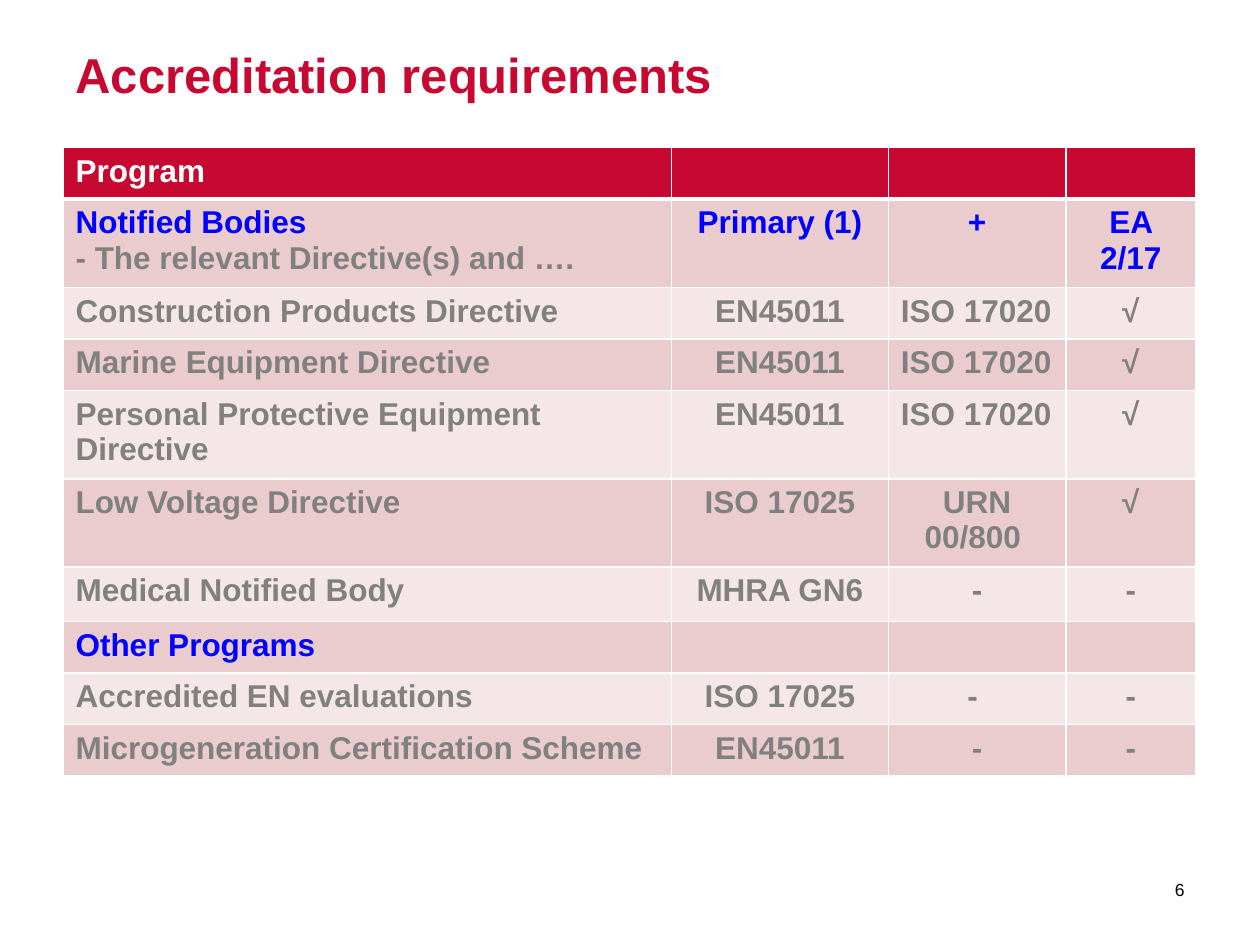
"""Build the accreditation requirements slide."""
from dataclasses import dataclass

from lxml import etree
from pptx import Presentation
from pptx import util as u
from pptx.dml.color import RGBColor
from pptx.enum import text
from pptx.oxml.ns import qn


@dataclass(frozen=True)
class Theme:
    """Colours and type sizes of the slide."""
    font: str = "Arial"
    red: str = "C70932"
    blue: str = "0000FF"
    grey: str = "808080"
    white: str = "FFFFFF"
    black: str = "000000"
    bands: tuple = ("F5E7E8", "EBCCCE")
    title_size: int = 28
    table_size: int = 18
    number_size: int = 10
    thin_line: int = 1
    header_line: int = 3


THEME = Theme()
COLUMN_WIDTHS = (4.83, 1.72, 1.41, 1.03)
ROW_HEIGHT = 0.41
MEDICAL_HEIGHT = 0.43
INSPECTION = "ISO 17020"
ROWS = (
    ("Program", "", "", ""),
    ("Notified Bodies\n- The relevant Directive(s) and ….", "Primary (1)", "+", "EA 2/17"),
    ("Construction Products Directive", "EN45011", INSPECTION, "√"),
    ("Marine Equipment Directive", "EN45011", INSPECTION, "√"),
    ("Personal Protective Equipment Directive", "EN45011", INSPECTION, "√"),
    ("Low Voltage Directive", "ISO 17025", "URN 00/800 ", "√"),
    ("Medical Notified Body", "MHRA GN6", "-", "-"),
    ("Other Programs", "", "", ""),
    ("Accredited EN evaluations", "ISO 17025", "- ", "-"),
    ("Microgeneration Certification Scheme", "EN45011", "-", "-"),
)
SECTION_ROWS = (1, 7)


def add_run(paragraph, words, size, color, bold=True):
    """Add one formatted run to a paragraph."""
    run = paragraph.add_run()
    run.text = words
    run.font.name = THEME.font
    run.font.size = u.Pt(size)
    run.font.bold = bold
    run.font.color.rgb = RGBColor.from_string(color)


def set_borders(cell, row_index):
    """Draw white cell borders, heavier under the header row."""
    properties = cell._tc.get_or_add_tcPr()
    heavy_sides = {0: "B", 1: "T"}
    for side in "LRTB":
        heavy = heavy_sides.get(row_index) == side
        width = THEME.header_line if heavy else THEME.thin_line
        line = etree.SubElement(properties, qn(f"a:ln{side}"), w=str(u.Pt(width)))
        fill = etree.SubElement(line, qn("a:solidFill"))
        etree.SubElement(fill, qn("a:srgbClr"), val=THEME.white)


def text_color(row_index, line_index):
    """Choose the text colour for a line in a table row."""
    if row_index == 0:
        return THEME.white
    if row_index in SECTION_ROWS and line_index == 0:
        return THEME.blue
    return THEME.grey


def fill_cell(cell, words, row_index, column_index):
    """Set the borders, fill and text of a table cell."""
    set_borders(cell, row_index)
    cell.fill.solid()
    color = THEME.bands[row_index % 2] if row_index else THEME.red
    cell.fill.fore_color.rgb = RGBColor.from_string(color)
    frame = cell.text_frame
    for line_index, line in enumerate(words.splitlines()):
        paragraph = frame.add_paragraph() if line_index else frame.paragraphs[0]
        if column_index and words != INSPECTION:
            paragraph.alignment = text.PP_ALIGN.CENTER
        add_run(paragraph, line, THEME.table_size, text_color(row_index, line_index))


def add_title(slide, words):
    """Place and format the slide title."""
    title = slide.shapes.title
    title.left, title.top = u.Inches(0.5), u.Inches(0.3)
    title.width, title.height = u.Inches(9), u.Inches(1.25)
    title.text_frame.vertical_anchor = text.MSO_ANCHOR.TOP
    paragraph = title.text_frame.paragraphs[0]
    paragraph.alignment = text.PP_ALIGN.LEFT
    add_run(paragraph, words, THEME.title_size, THEME.red)


def add_requirements_table(slide):
    """Add the table of programs and their standards."""
    frame = slide.shapes.add_table(
        len(ROWS), len(COLUMN_WIDTHS), u.Inches(0.5), u.Inches(1.17),
        u.Inches(sum(COLUMN_WIDTHS)), u.Inches(ROW_HEIGHT * len(ROWS)))
    table = frame.table
    table.first_row = True
    table.horz_banding = False
    for column, width in zip(table.columns, COLUMN_WIDTHS):
        column.width = u.Inches(width)
    for row_index, values in enumerate(ROWS):
        medical = values[0].startswith("Medical")
        table.rows[row_index].height = u.Inches(MEDICAL_HEIGHT if medical else ROW_HEIGHT)
        for column_index, words in enumerate(values):
            fill_cell(table.cell(row_index, column_index), words, row_index, column_index)


def add_page_number(slide, number):
    """Add the page number at the bottom right."""
    box = slide.shapes.add_textbox(u.Inches(8.8), u.Inches(6.86), u.Inches(0.7), u.Inches(0.4))
    box.text_frame.word_wrap = True
    box.text_frame.vertical_anchor = text.MSO_ANCHOR.MIDDLE
    paragraph = box.text_frame.paragraphs[0]
    paragraph.alignment = text.PP_ALIGN.RIGHT
    add_run(paragraph, number, THEME.number_size, THEME.black, bold=False)


def main():
    """Build and save the presentation."""
    presentation = Presentation()
    presentation.slide_width, presentation.slide_height = u.Inches(10), u.Inches(7.5)
    slide = presentation.slides.add_slide(presentation.slide_layouts[5])
    add_title(slide, "Accreditation requirements")
    add_page_number(slide, "6")
    add_requirements_table(slide)
    presentation.save("out.pptx")


if __name__ == "__main__":
    main()
